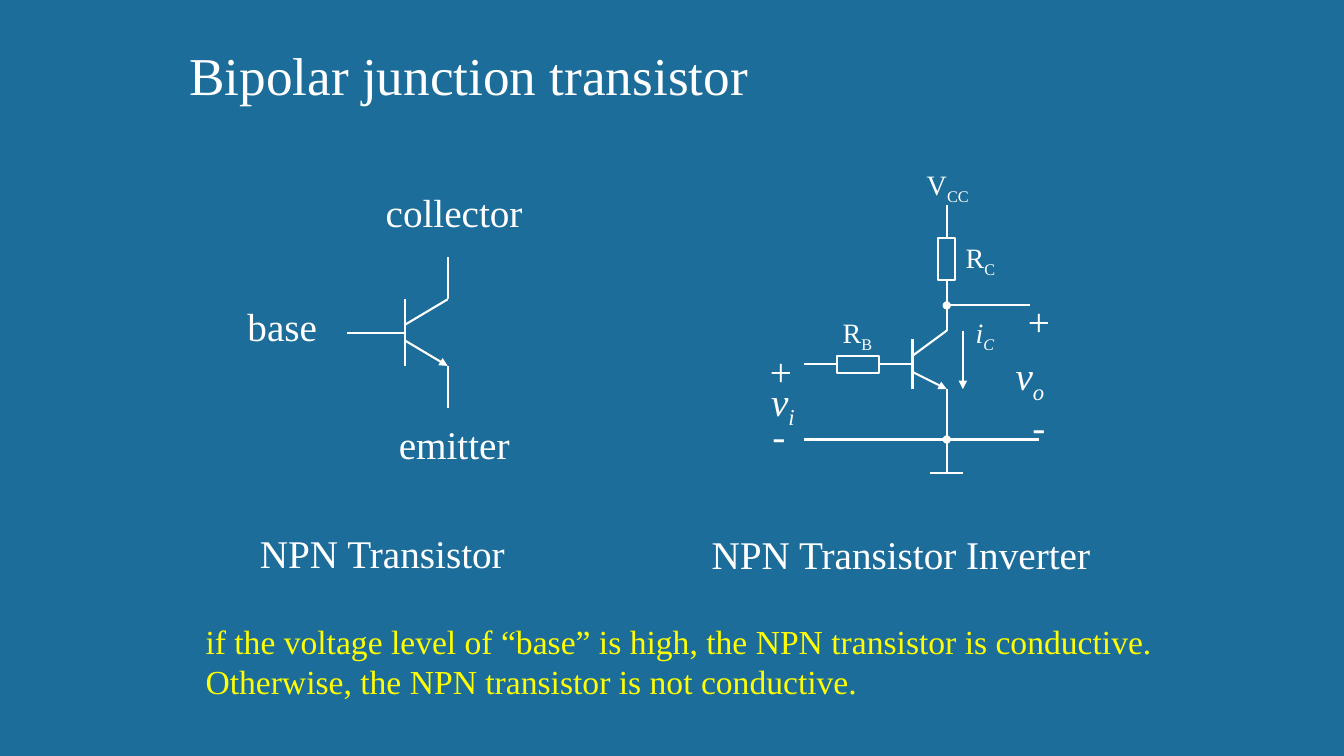
from lxml import etree
from pptx import Presentation
from pptx.dml.color import RGBColor
from pptx.enum.shapes import MSO_CONNECTOR, MSO_SHAPE
from pptx.enum.text import MSO_ANCHOR, PP_ALIGN
from pptx.oxml.ns import qn
from pptx.util import Pt

SCALE = 9144  # EMU per px, 100 px to the inch
STRAIGHT = MSO_CONNECTOR.STRAIGHT
RECTANGLE = MSO_SHAPE.RECTANGLE
LEFT, CENTER = PP_ALIGN.LEFT, PP_ALIGN.CENTER
TOP, BOTTOM = MSO_ANCHOR.TOP, MSO_ANCHOR.BOTTOM
COLORS = {"background": "1C6D9A", "ink": "FFFFFF", "note": "FFFF00"}
FONT = "Times New Roman"
LINE_WIDTH = Pt(1.5)
HEIGHTS = {28: 57, 20: 44}  # label box height for each text size


def px(*lengths):
    return [length * SCALE for length in lengths]


def color(name):
    return RGBColor.from_string(COLORS[name])


class CircuitSlide:
    def __init__(self, presentation):
        self.slide = presentation.slides.add_slide(presentation.slide_layouts[6])
        fill = self.slide.background.fill
        fill.solid()
        fill.fore_color.rgb = color("background")

    def text(self, box, paragraphs, size, ink="ink", align=LEFT, anchor=TOP,
             wrap=False, italic=None):
        """Each paragraph is a list of (text, is_subscript) runs."""
        frame = self.slide.shapes.add_textbox(*px(*box)).text_frame
        frame.word_wrap = wrap
        frame.vertical_anchor = anchor
        for index, runs in enumerate(paragraphs):
            paragraph = frame.add_paragraph() if index else frame.paragraphs[0]
            paragraph.alignment = align
            for text, is_subscript in runs:
                run = paragraph.add_run()
                run.text = text
                run.font.name = FONT
                run.font.size = Pt(size)
                run.font.italic = italic
                run.font.color.rgb = color(ink)
                if is_subscript:
                    run.font._element.set("baseline", "-25000")

    def label(self, left, top, width, text, subscript="", size=28, italic=None,
              align=CENTER):
        runs = [(text, False)]
        if subscript:
            runs.append((subscript, True))
        self.text((left, top, width, HEIGHTS[size]), [runs], size,
                  align=align, italic=italic)

    def wire(self, start, end, head=None, tail=None):
        connector = self.slide.shapes.add_connector(STRAIGHT, *px(*start, *end))
        connector.line.color.rgb = color("ink")
        connector.line.width = LINE_WIDTH
        outline = connector.line._get_or_add_ln()
        for tag, kind in (("a:headEnd", head), ("a:tailEnd", tail)):
            if kind:
                etree.SubElement(outline, qn(tag), type=kind)
        etree.SubElement(connector._element.spPr, qn("a:effectLst"))

    def resistor(self, left, top, width, height):
        shape = self.slide.shapes.add_shape(RECTANGLE, *px(left, top, width, height))
        shape.shadow.inherit = False
        shape.fill.background()
        shape.line.color.rgb = color("ink")
        shape.line.width = LINE_WIDTH

    def transistor(self, x, middle, bar, rise, spread, lead, emitter_end=None):
        """Bar reaches `bar` above and below the middle, legs sit `spread` to the right."""
        tap = 8
        leg = x + spread
        collector, emitter = middle - rise, middle + bar
        self.wire((x, middle - bar), (x, middle + bar))
        self.wire((x, middle + tap), (leg, emitter), tail="triangle")
        self.wire((x, middle - tap), (leg, collector))
        self.wire((leg, collector), (leg, collector - lead))
        self.wire((leg, emitter), (leg, emitter + lead), tail=emitter_end)


def draw_transistor_symbol(circuit):
    circuit.transistor(402, 330, bar=33, rise=33, spread=42, lead=42)
    circuit.wire((402, 330), (344, 330))
    circuit.label(235, 295, 90, "base")
    circuit.label(372, 182, 157, "collector")
    circuit.label(385, 412, 131, "emitter")


def draw_inverter(circuit):
    bar, leg, middle, ground = 905, 939, 361, 436
    circuit.transistor(bar, middle, bar=25, rise=33, spread=leg - bar, lead=50,
                       emitter_end="oval")
    circuit.resistor(930, 236, 17, 42)
    circuit.resistor(830, 353, 42, 17)
    circuit.wire((leg, 236), (leg, 203))
    circuit.wire((leg, 303), (1022, 303), head="oval")
    circuit.wire((797, ground), (1030, ground))
    circuit.wire((leg, ground), (leg, 469))
    circuit.wire((922, 469), (955, 469))
    circuit.wire((797, middle), (830, middle))
    circuit.wire((bar, middle), (872, middle))
    circuit.wire((955, 328), (955, 386), tail="triangle")

    circuit.label(906, 161, 68, "V", "CC", size=20)
    circuit.label(947, 234, 51, "R", "C", size=20)
    circuit.label(824, 308, 53, "R", "B", size=20)
    circuit.label(957, 308, 40, "i", "C", size=20, italic=True)
    circuit.label(996, 344, 51, "v", "o", italic=True)
    circuit.label(754, 369, 45, "v", "i", italic=True)
    for left, top, width, sign in ((1009, 290, 43, "+"), (1014, 394, 33, "-"),
                                   (753, 340, 43, "+"), (756, 403, 33, "-")):
        circuit.label(left, top, width, sign)


def main():
    presentation = Presentation()
    presentation.slide_width, presentation.slide_height = px(1333, 750)
    circuit = CircuitSlide(presentation)
    circuit.text((178, 36, 1016, 74), [[("Bipolar junction transistor", False)]],
                 38, anchor=BOTTOM, wrap=True)
    draw_transistor_symbol(circuit)
    draw_inverter(circuit)
    circuit.label(248, 520, 266, "NPN Transistor", align=LEFT)
    circuit.label(696, 521, 400, "NPN Transistor Inverter", align=LEFT)
    note = ("if the voltage level of “base” is high, the NPN transistor is conductive.",
            "Otherwise, the NPN transistor is not conductive.")
    circuit.text((194, 611, 1130, 91), [[(line, False)] for line in note], 24,
                 ink="note", wrap=True)
    presentation.save("out.pptx")


if __name__ == "__main__":
    main()
